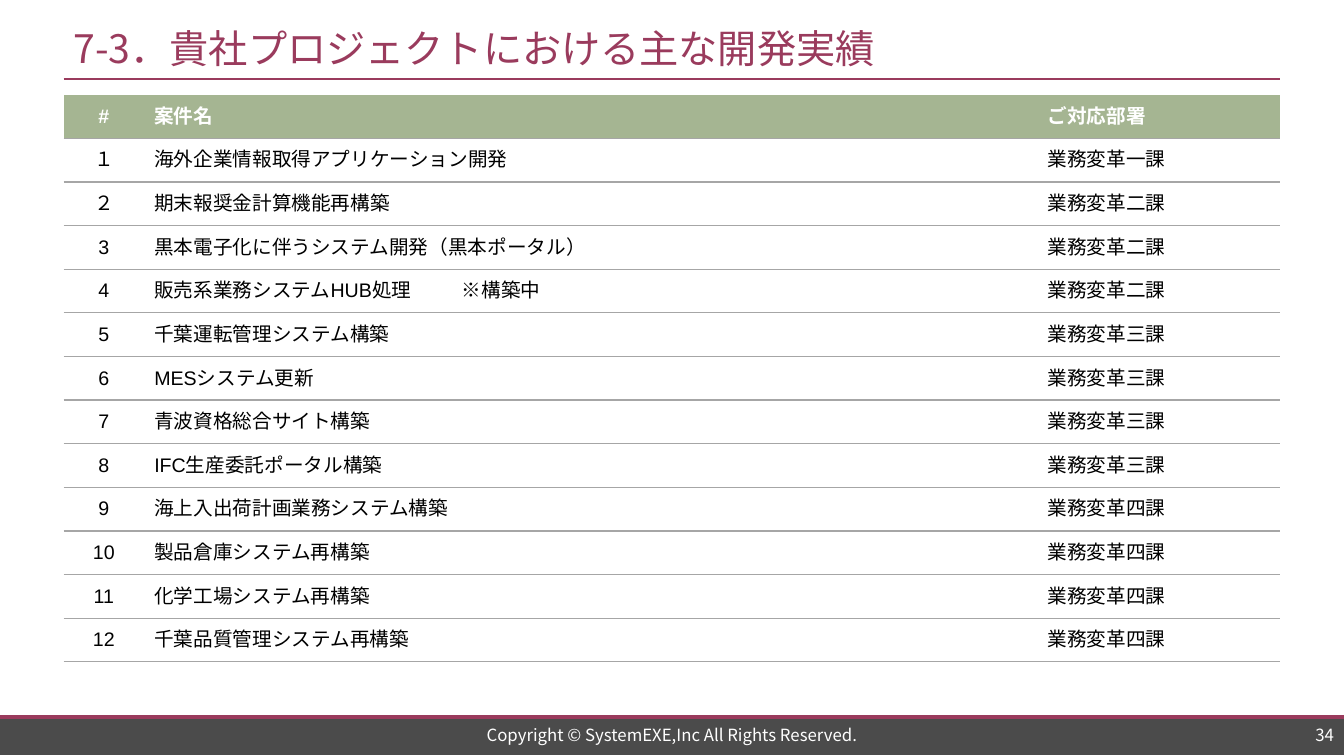
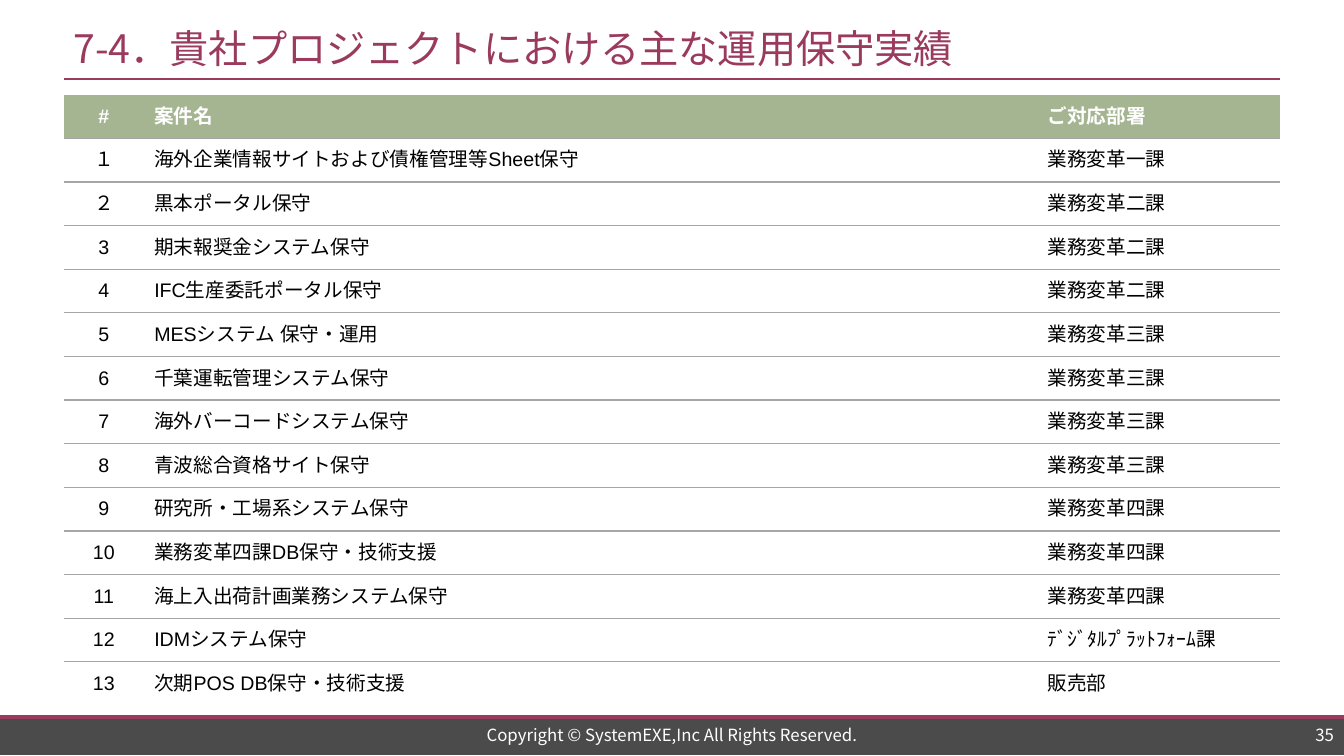
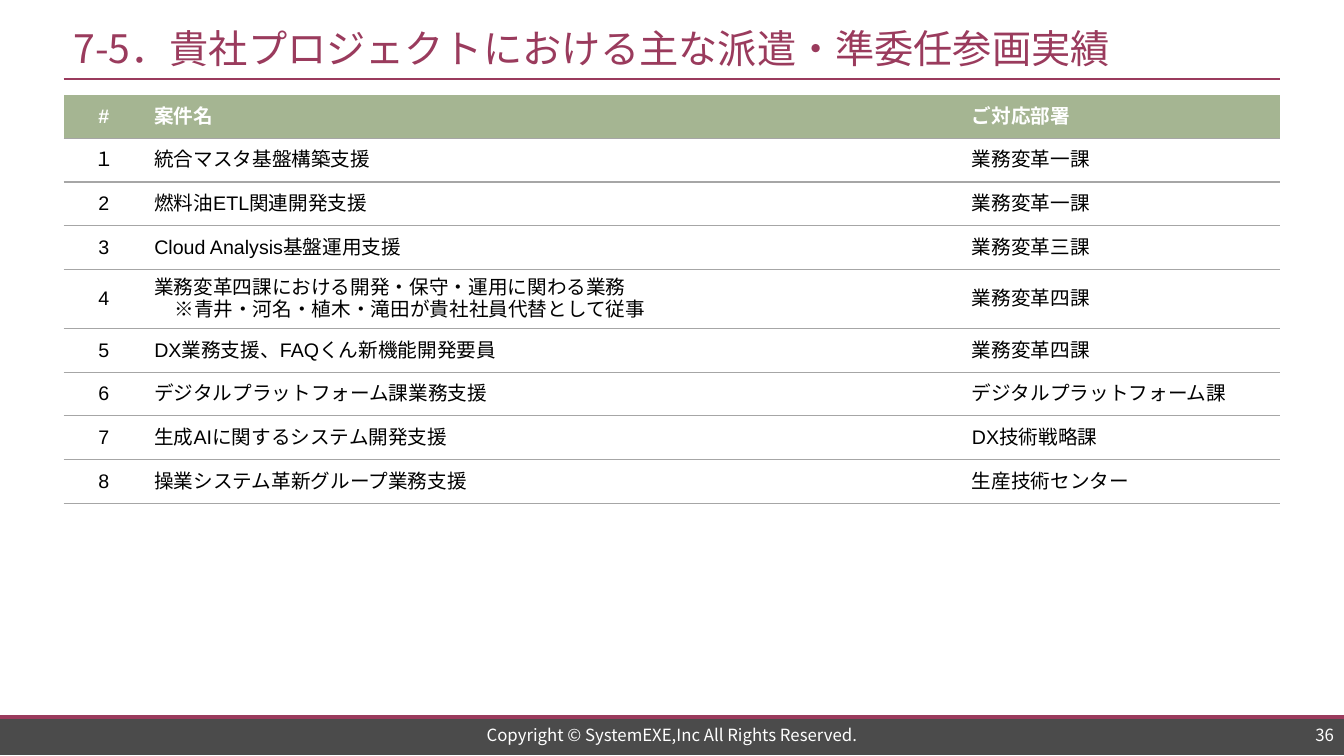
from lxml.etree import SubElement
from pptx import Presentation
from pptx.dml.color import RGBColor
from pptx.enum.lang import MSO_LANGUAGE_ID as Lang
from pptx.enum.shapes import MSO_CONNECTOR as Connector, MSO_SHAPE as Shape
from pptx.enum.text import MSO_ANCHOR as Anchor, MSO_AUTO_SIZE as AutoSize, PP_ALIGN as Align
from pptx.oxml import parse_xml
from pptx.oxml.ns import nsdecls, qn
from pptx.util import Inches, Pt

WINE = RGBColor(0x9A, 0x3B, 0x5D)
CHARCOAL = RGBColor(0x4B, 0x4B, 0x4B)
SAGE = RGBColor(0xA5, 0xB5, 0x92)
RULE_GREY = RGBColor(0xA6, 0xA6, 0xA6)
WHITE = RGBColor(0xFF, 0xFF, 0xFF)
BLACK = RGBColor(0, 0, 0)
GOTHIC, SANS = "Noto Sans CJK JP", "Arial"

WIDTH, HEIGHT = 13.33, 7.5
MARGIN = 0.63
CONTENT = WIDTH - 2 * MARGIN
TABLE_TOP, ROW = 0.94, 0.433
NUMBER_COL = 0.8
NO_STYLE = "{2D5ABB26-0587-4C30-8999-92F81FD0307C}"
NOTE_TAB, NOTE_INDENT = 3.05, 0.2
FIRST_PAGE = 34
COPYRIGHT = "Copyright © SystemEXE,Inc All Rights Reserved."
HEADER = ("#", "案件名", "ご対応部署")

DEPT1, DEPT2, DEPT3, DEPT4 = (f"業務変革{n}課" for n in "一二三四")

SLIDES = [
    dict(
        title="7-3．貴社プロジェクトにおける主な開発実績",
        dept_col=2.41, wide_digits=2, closed=True,
        projects=[
            ("海外企業情報取得アプリケーション開発", DEPT1),
            ("期末報奨金計算機能再構築", DEPT2),
            ("黒本電子化に伴うシステム開発（黒本ポータル）", DEPT2),
            ("販売系業務システムHUB処理\t※構築中", DEPT2),
            ("千葉運転管理システム構築", DEPT3),
            ("MESシステム更新", DEPT3),
            ("青波資格総合サイト構築", DEPT3),
            ("IFC生産委託ポータル構築", DEPT3),
            ("海上入出荷計画業務システム構築", DEPT4),
            ("製品倉庫システム再構築", DEPT4),
            ("化学工場システム再構築", DEPT4),
            ("千葉品質管理システム再構築", DEPT4),
        ],
    ),
    dict(
        title="7-4．貴社プロジェクトにおける主な運用保守実績",
        dept_col=2.41, wide_digits=2, closed=False,
        projects=[
            ("海外企業情報サイトおよび債権管理等Sheet保守", DEPT1),
            ("黒本ポータル保守", DEPT2),
            ("期末報奨金システム保守", DEPT2),
            ("IFC生産委託ポータル保守", DEPT2),
            ("MESシステム 保守・運用", DEPT3),
            ("千葉運転管理システム保守", DEPT3),
            ("海外バーコードシステム保守", DEPT3),
            ("青波総合資格サイト保守", DEPT3),
            ("研究所・工場系システム保守", DEPT4),
            ("業務変革四課DB保守・技術支援", DEPT4),
            ("海上入出荷計画業務システム保守", DEPT4),
            ("IDMシステム保守", "ﾃﾞｼﾞﾀﾙﾌﾟﾗｯﾄﾌｫｰﾑ課"),
            ("次期POS DB保守・技術支援", "販売部"),
        ],
    ),
    dict(
        title="7-5．貴社プロジェクトにおける主な派遣・準委任参画実績",
        dept_col=3.16, wide_digits=1, closed=True,
        projects=[
            ("統合マスタ基盤構築支援", DEPT1),
            ("燃料油ETL関連開発支援", DEPT1),
            ("Cloud Analysis基盤運用支援", DEPT3),
            ("業務変革四課における開発・保守・運用に関わる業務\n"
             "※青井・河名・植木・滝田が貴社社員代替として従事", DEPT4),
            ("DX業務支援、FAQくん新機能開発要員", DEPT4),
            ("デジタルプラットフォーム課業務支援", "デジタルプラットフォーム課"),
            ("生成AIに関するシステム開発支援", "DX技術戦略課"),
            ("操業システム革新グループ業務支援", "生産技術センター"),
        ],
    ),
]


def write(frame, text, size=14, font=SANS, color=BLACK, bold=False, align=Align.LEFT):
    for i, line in enumerate(text.split("\n")):
        paragraph = frame.add_paragraph() if i else frame.paragraphs[0]
        paragraph.alignment = align
        props = paragraph._p.get_or_add_pPr()
        if line.startswith("※"):
            props.set("marL", str(Inches(NOTE_INDENT)))
            props.set("indent", "0")
        if "\t" in line:
            tabs = SubElement(props, qn("a:tabLst"))
            SubElement(tabs, qn("a:tab"), pos=str(Inches(NOTE_TAB)), algn="l")
        run = paragraph.add_run()
        run.text = line
        run.font.name, run.font.size = font, Pt(size)
        run.font.bold, run.font.color.rgb = bold, color
        run.font.language_id = Lang.JAPANESE
        SubElement(run._r.get_or_add_rPr(), qn("a:ea"), typeface=font)


def add_rule(shapes, left, right, y, weight):
    rule = shapes.add_connector(
        Connector.STRAIGHT, Inches(left), Inches(y), Inches(right), Inches(y))
    rule.line.color.rgb, rule.line.width = WINE, Pt(weight)
    SubElement(rule._element.spPr, qn("a:effectLst"))
    return rule


def add_footer(slide, text, left, width, align):
    box = slide.shapes.add_textbox(Inches(left), Inches(7.17), Inches(width), Inches(0.24))
    box.text_frame.word_wrap = True
    box.text_frame.vertical_anchor = Anchor.MIDDLE
    write(box.text_frame, text, size=12, font=GOTHIC, color=WHITE, align=align)


def dress_layout(layout, slide):
    title, *others = layout.placeholders
    for other in others:
        other._element.getparent().remove(other._element)
    title.left, title.top = Inches(MARGIN), Inches(0.2)
    title.width, title.height = Inches(CONTENT), Inches(0.55)
    title.text_frame.vertical_anchor = Anchor.MIDDLE
    band = slide.shapes.add_shape(
        Shape.RECTANGLE, 0, Inches(7.1), Inches(WIDTH), Inches(0.39))
    band.shadow.inherit = False
    band.fill.solid()
    band.fill.fore_color.rgb = CHARCOAL
    band.line.fill.background()
    rules = [add_rule(slide.shapes, 0, WIDTH, 7.11, 2.75),
             add_rule(slide.shapes, MARGIN, WIDTH - MARGIN, 0.78, 1.5)]
    for part in (band, *rules):
        layout.shapes._spTree.append(part._element)


def underline(cell):
    cell._tc.get_or_add_tcPr().insert(0, parse_xml(
        f'<a:lnB {nsdecls("a")} w="{Pt(1)}"><a:solidFill>'
        f'<a:srgbClr val="{RULE_GREY}"/></a:solidFill></a:lnB>'))


def add_projects(slide, projects, dept_col, wide_digits, closed):
    numbers = [chr(ord("０") + n) if n <= wide_digits else str(n)
               for n in range(1, len(projects) + 1)]
    rows = [HEADER] + [(n, *project) for n, project in zip(numbers, projects)]
    table = slide.shapes.add_table(
        len(rows), len(HEADER), Inches(MARGIN), Inches(TABLE_TOP),
        Inches(CONTENT), Inches(ROW * len(rows))).table
    table._tbl.tblPr.find(qn("a:tableStyleId")).text = NO_STYLE
    table.horz_banding = False
    widths = (NUMBER_COL, CONTENT - NUMBER_COL - dept_col, dept_col)
    for column, width in zip(table.columns, widths):
        column.width = Inches(width)
    for r, row in enumerate(rows):
        heading = r == 0
        table.rows[r].height = Inches(0.59 if "\n" in row[1] else ROW)
        for c, text in enumerate(row):
            cell = table.cell(r, c)
            cell.vertical_anchor = Anchor.MIDDLE
            if heading:
                cell.fill.solid()
                cell.fill.fore_color.rgb = SAGE
            else:
                cell.fill.background()
            if closed or r < len(rows) - 1:
                underline(cell)
            write(cell.text_frame, text, color=WHITE if heading else BLACK,
                  bold=heading, align=Align.LEFT if c else Align.CENTER)


def main():
    deck = Presentation()
    deck.slide_width, deck.slide_height = Inches(WIDTH), Inches(HEIGHT)
    layout = deck.slide_layouts.get_by_name("Title Only")
    for i, content in enumerate(SLIDES):
        slide = deck.slides.add_slide(layout)
        if i == 0:
            dress_layout(layout, slide)
        heading = slide.shapes.title.text_frame
        heading.auto_size = AutoSize.NONE
        write(heading, content["title"], size=28, font=GOTHIC, color=WINE)
        add_projects(slide, content["projects"], content["dept_col"],
                     content["wide_digits"], content["closed"])
        add_footer(slide, COPYRIGHT, 3.32, 6.69, Align.CENTER)
        add_footer(slide, str(FIRST_PAGE + i), 11.76, 1.57, Align.RIGHT)
    deck.save("out.pptx")


if __name__ == "__main__":
    main()
